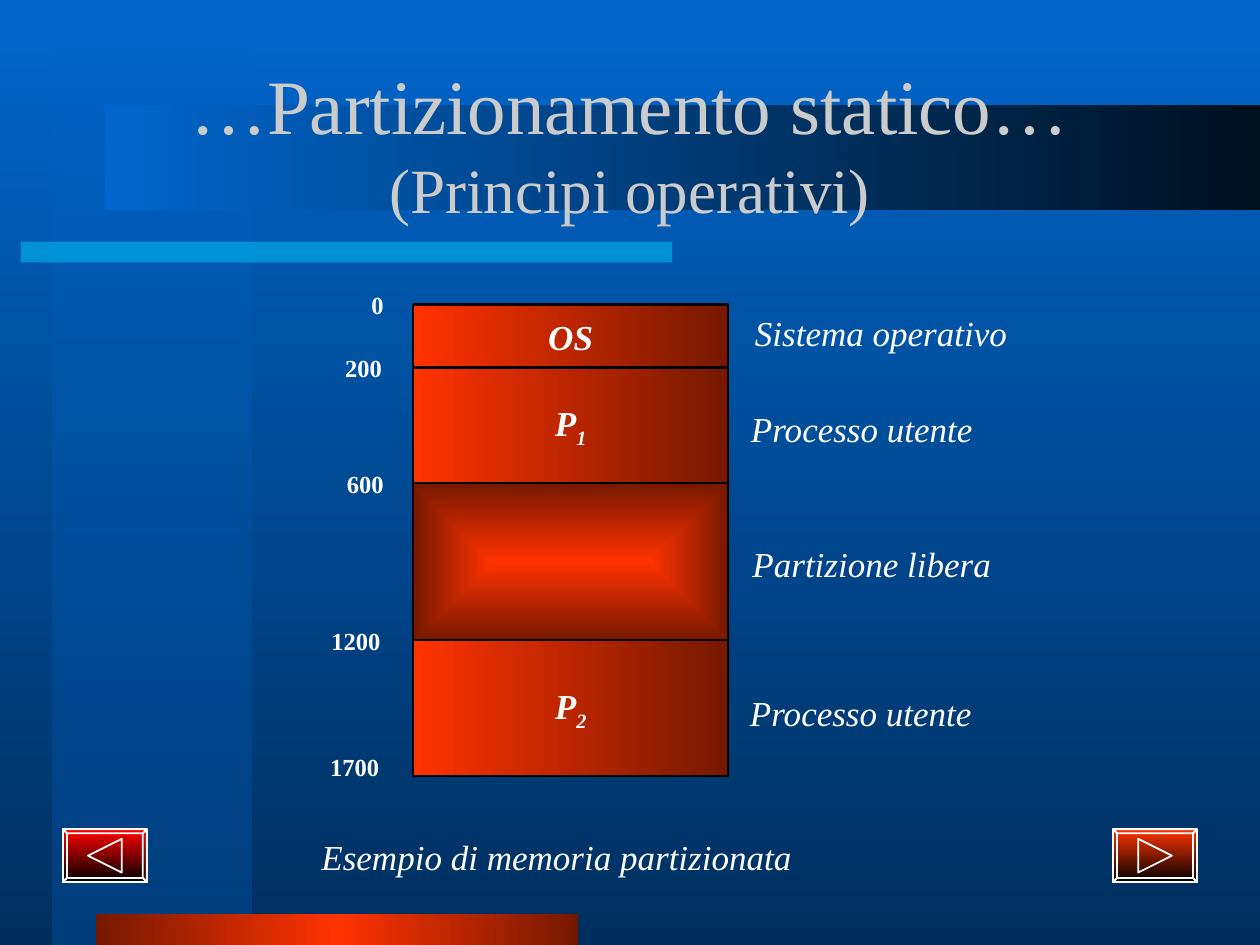
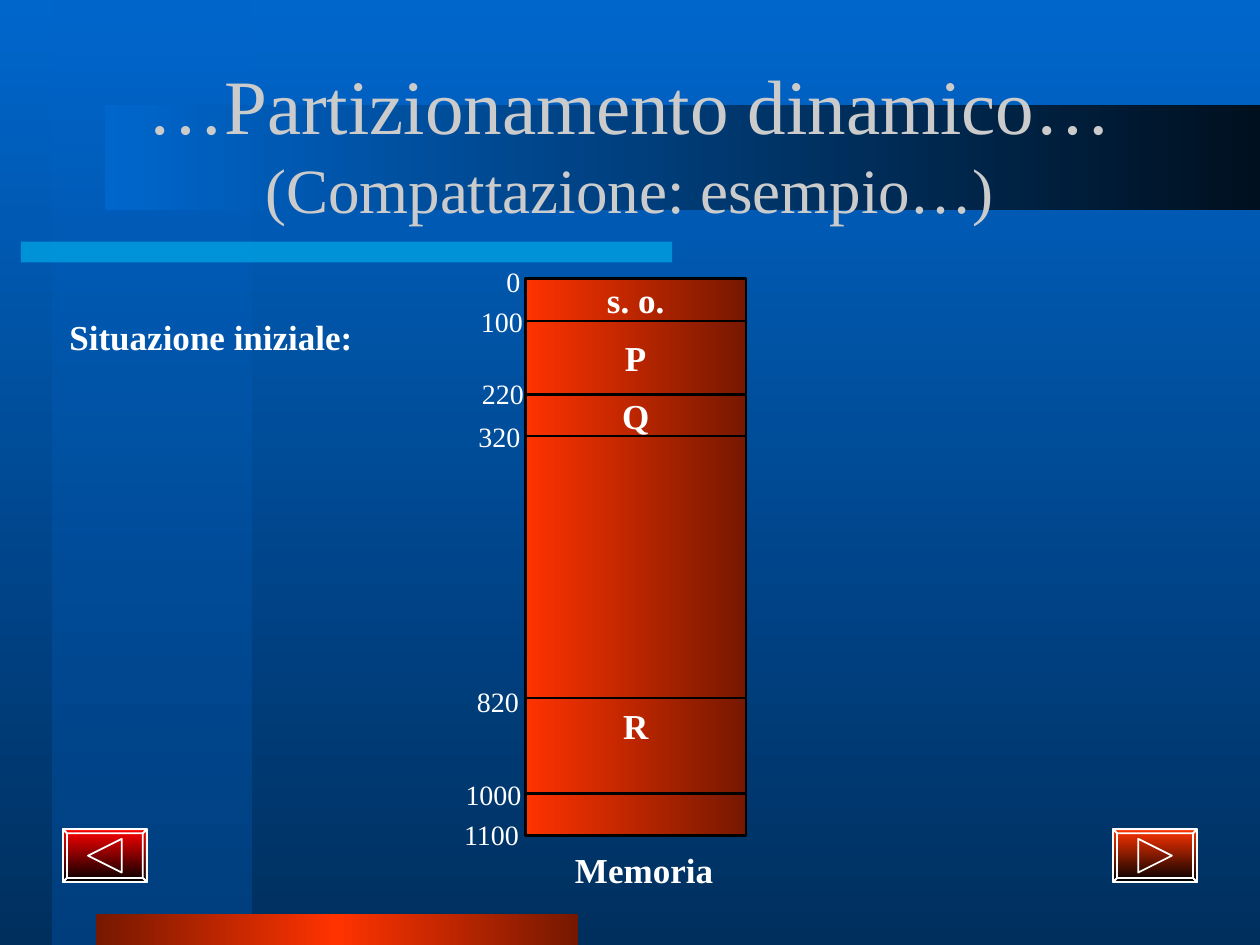
from itertools import accumulate

from lxml.etree import SubElement
from pptx import Presentation
from pptx.dml.color import RGBColor
from pptx.enum.shapes import MSO_SHAPE
from pptx.enum.text import MSO_ANCHOR, PP_ALIGN
from pptx.oxml.ns import qn
from pptx.util import Cm, Pt

FONT = "Times New Roman"
WHITE = RGBColor(0xFF, 0xFF, 0xFF)
BLACK = RGBColor(0x00, 0x00, 0x00)
TITLE_GREY = RGBColor(0xCB, 0xCB, 0xCB)
BLUE = RGBColor(0x00, 0x66, 0xCC)
DEEP_BLUE = RGBColor(0x00, 0x2F, 0x5E)
BAND_BLUE = RGBColor(0x00, 0x3F, 0x7E)
NIGHT_BLUE = RGBColor(0x00, 0x10, 0x1F)
CYAN = RGBColor(0x00, 0xCC, 0xFF)
ORANGE = RGBColor(0xFF, 0x33, 0x00)
BROWN = RGBColor(0x76, 0x18, 0x00)
RED = RGBColor(0xFF, 0x00, 0x00)

LEFT, CENTER, RIGHT = PP_ALIGN.LEFT, PP_ALIGN.CENTER, PP_ALIGN.RIGHT
TOP, MIDDLE = MSO_ANCHOR.TOP, MSO_ANCHOR.MIDDLE

# Boxes are (left, top, width, height) in centimetres
TITLE_BOX = (1.9, 1.27, 21.6, 3.18)
BUTTON_TOP, BUTTON_WIDTH, BUTTON_HEIGHT, BEVEL = 16.72, 1.69, 1.06, 0.08

STATIC = {
    "title": ("…Partizionamento statico…", "(Principi operativi)"),
    "column": (8.33, 6.14, 6.35),
    "line": 1.25,
    "italic": True,
    # name, subscript, height, anchor, free partition
    "cells": [
        ("OS", "", 1.27, MIDDLE, False),
        ("P", "1", 2.33, MIDDLE, False),
        ("", "", 3.17, MIDDLE, True),
        ("P", "2", 2.74, MIDDLE, False),
    ],
    "address_style": {"size": 14, "bold": True, "align": CENTER, "anchor": TOP},
    "addresses": [
        ("0", (7.19, 5.72, 0.84, 0.86)),
        ("200", (6.63, 6.99, 1.4, 0.86)),
        ("600", (6.73, 9.32, 1.27, 0.86)),
        ("1200", (6.22, 12.5, 1.91, 0.86)),
        ("1700", (6.3, 15.04, 1.7, 0.86)),
    ],
    "caption_style": {"size": 20, "italic": True, "anchor": TOP},
    "captions": [
        ("Sistema operativo", (15.09, 6.15, 5.92, 1.09), LEFT),
        ("Processo utente", (15.01, 8.08, 6.99, 1.09), LEFT),
        ("Partizione libera", (15.04, 10.8, 6.99, 1.09), LEFT),
        ("Processo utente", (14.99, 13.82, 6.99, 1.09), LEFT),
        ("Esempio di memoria partizionata", (6.35, 16.71, 9.96, 1.09), LEFT),
    ],
}

DYNAMIC = {
    "title": ("…Partizionamento dinamico…", "(Compattazione: esempio…)"),
    "column": (10.59, 5.61, 4.45),
    "line": 1.5,
    "italic": False,
    "cells": [
        ("s. o.", "", 0.86, MIDDLE, False),
        ("P", "", 1.48, MIDDLE, False),
        ("Q", "", 0.84, MIDDLE, False),
        ("", "", 5.28, MIDDLE, False),
        ("R", "", 1.93, TOP, False),
        ("", "", 0.84, MIDDLE, False),
    ],
    "address_style": {"size": 16, "align": RIGHT, "anchor": MIDDLE},
    "addresses": [
        ("0", (8.92, 5.13, 1.7, 1.07)),
        ("100", (8.97, 5.94, 1.7, 1.07)),
        ("220", (8.99, 7.39, 1.7, 1.07)),
        ("320", (8.92, 8.26, 1.7, 1.07)),
        ("820", (8.89, 13.61, 1.7, 1.07)),
        ("1000", (8.94, 15.47, 1.7, 1.07)),
        ("1100", (8.89, 16.28, 1.7, 1.07)),
    ],
    "caption_style": {"size": 20, "bold": True, "anchor": MIDDLE},
    "captions": [
        ("Memoria", (11.13, 16.99, 3.71, 1.07), CENTER),
        ("Situazione iniziale:", (1.27, 5.72, 6.2, 2.11), LEFT),
    ],
}


def paint_gradient(owner, fill, stops, angle=None):
    """Fill owner with (position, colour, opacity) stops; no angle means from the centre."""
    fill.gradient()
    gradient = next(owner.element.iter(qn("a:gradFill")))
    for child in list(gradient):
        gradient.remove(child)
    stop_list = SubElement(gradient, qn("a:gsLst"))
    for position, colour, opacity in stops:
        stop = SubElement(stop_list, qn("a:gs"), pos=str(position * 1000))
        value = SubElement(stop, qn("a:srgbClr"), val=str(colour))
        if opacity < 100:
            SubElement(value, qn("a:alpha"), val=str(opacity * 1000))
    if angle is None:
        centre = SubElement(gradient, qn("a:path"), path="rect")
        SubElement(centre, qn("a:fillToRect"), dict.fromkeys("ltrb", "50000"))
    else:
        SubElement(gradient, qn("a:lin"), ang=str(angle * 60000), scaled="0")


def two_stops(first, last, first_opacity=100):
    return [(0, first, first_opacity), (100, last, 100)]


def add_rectangle(slide, box):
    shape = slide.shapes.add_shape(MSO_SHAPE.RECTANGLE, *map(Cm, box))
    shape.shadow.inherit = False
    shape.line.fill.background()
    return shape


def prepare_frame(shape, anchor):
    frame = shape.text_frame
    frame.word_wrap = True
    frame.vertical_anchor = anchor
    frame.margin_left = frame.margin_right = Cm(0.13)
    frame.margin_top = frame.margin_bottom = Cm(0.13)
    return frame


def add_run(paragraph, text, size, colour=WHITE, bold=False, italic=False):
    run = paragraph.add_run()
    run.text = text
    font = run.font
    font.name, font.size, font.bold, font.italic = FONT, Pt(size), bold, italic
    font.color.rgb = colour
    return run


def add_label(slide, text, box, align, anchor, **style):
    frame = prepare_frame(slide.shapes.add_textbox(*map(Cm, box)), anchor)
    paragraph = frame.paragraphs[0]
    paragraph.alignment = align
    add_run(paragraph, text, **style)


def add_outline(slide, points):
    points = [(Cm(x), Cm(y)) for x, y in points]
    builder = slide.shapes.build_freeform(*points[0])
    builder.add_line_segments(points[1:], close=True)
    shape = builder.convert_to_shape()
    shape.shadow.inherit = False
    shape.fill.background()
    shape.line.color.rgb = WHITE
    shape.line.width = Pt(1)
    return shape


def add_button(slide, left, colour, direction):
    """Bevelled button with a triangle; direction is -1 for back, 1 for forward."""
    def corners(inset):
        x1, x2 = left + inset, left + BUTTON_WIDTH - inset
        y1, y2 = BUTTON_TOP + inset, BUTTON_TOP + BUTTON_HEIGHT - inset
        return [(x1, y1), (x2, y1), (x2, y2), (x1, y2)]

    outer, inner = corners(0), corners(BEVEL)
    face = add_outline(slide, outer)
    paint_gradient(face, face.fill, two_stops(colour, BLACK), 90)
    for i in range(4):
        j = (i + 1) % 4
        add_outline(slide, [outer[i], outer[j], inner[j], inner[i]])
    x, y = left + BUTTON_WIDTH / 2, BUTTON_TOP + BUTTON_HEIGHT / 2
    reach = 0.34
    base = x - direction * reach
    add_outline(slide, [(x + direction * reach, y), (base, y - reach), (base, y + reach)])


def add_backdrop(slide):
    paint_gradient(slide, slide.background.fill, two_stops(BLUE, DEEP_BLUE), 90)
    column = add_rectangle(slide, (1.06, 0, 4.02, 19.05))
    paint_gradient(column, column.fill, two_stops(BLUE, BAND_BLUE, 50), 90)

    underline = add_rectangle(slide, (0.42, 4.87, 13.13, 0.42))
    underline.fill.solid()
    underline.fill.fore_color.rgb = CYAN
    colour = next(underline.element.iter(qn("a:srgbClr")))
    SubElement(colour, qn("a:alpha"), val="50000")

    footer = add_rectangle(slide, (1.93, 18.42, 9.72, 0.63))
    footer_stops = [(0, BROWN, 100), (50, ORANGE, 100), (100, BROWN, 100)]
    paint_gradient(footer, footer.fill, footer_stops, 0)
    title_band = add_rectangle(slide, (2.12, 2.12, 23.28, 2.11))
    paint_gradient(title_band, title_band.fill, two_stops(BLUE, NIGHT_BLUE), 0)
    add_button(slide, 1.27, RED, -1)
    add_button(slide, 22.44, ORANGE, 1)


def add_title(slide, lines):
    frame = prepare_frame(slide.shapes.add_textbox(*map(Cm, TITLE_BOX)), MIDDLE)
    for i, (text, size) in enumerate(zip(lines, (44, 36))):
        paragraph = frame.add_paragraph() if i else frame.paragraphs[0]
        paragraph.alignment = CENTER
        add_run(paragraph, text, size, TITLE_GREY)


def add_memory(slide, content):
    left, top, width = content["column"]
    cells = content["cells"]
    tops = accumulate((cell[2] for cell in cells), initial=top)
    for (name, subscript, height, anchor, free), cell_top in zip(cells, tops):
        shape = add_rectangle(slide, (left, cell_top, width, height))
        paint_gradient(shape, shape.fill, two_stops(ORANGE, BROWN), None if free else 0)
        shape.line.color.rgb = BLACK
        shape.line.width = Pt(content["line"])
        if not name:
            continue
        paragraph = prepare_frame(shape, anchor).paragraphs[0]
        paragraph.alignment = CENTER
        style = {"size": 20, "bold": True, "italic": content["italic"]}
        add_run(paragraph, name, **style)
        if subscript:
            run = add_run(paragraph, subscript, **style)
            run._r.get_or_add_rPr().set("baseline", "-25000")


def main():
    presentation = Presentation()
    presentation.slide_width, presentation.slide_height = Cm(25.4), Cm(19.05)
    for content in (STATIC, DYNAMIC):
        slide = presentation.slides.add_slide(presentation.slide_layouts[6])
        add_backdrop(slide)
        add_title(slide, content["title"])
        add_memory(slide, content)
        for text, box in content["addresses"]:
            add_label(slide, text, box, **content["address_style"])
        for text, box, align in content["captions"]:
            add_label(slide, text, box, align, **content["caption_style"])
    presentation.save("out.pptx")


if __name__ == "__main__":
    main()
